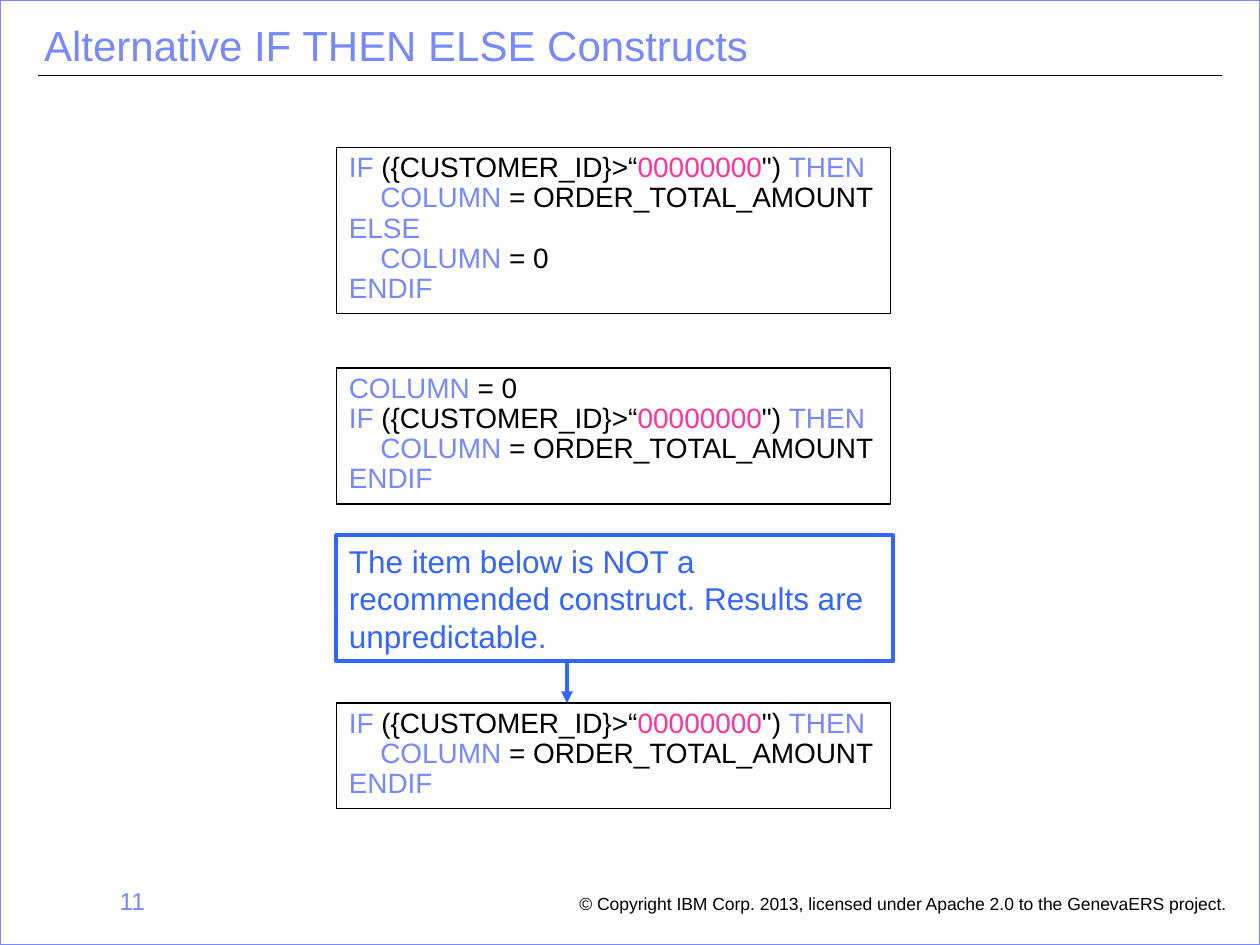
"""Build the slide on alternative IF THEN ELSE constructs."""
from lxml import etree
from pptx import Presentation
from pptx.dml.color import RGBColor
from pptx.enum.shapes import MSO_CONNECTOR, MSO_SHAPE
from pptx.enum.text import MSO_ANCHOR, MSO_AUTO_SIZE, PP_ALIGN
from pptx.oxml.ns import qn
from pptx.util import Inches, Pt

STRAIGHT, RECT = MSO_CONNECTOR.STRAIGHT, MSO_SHAPE.RECTANGLE
TOP, FIT, NO_FIT = MSO_ANCHOR.TOP, MSO_AUTO_SIZE.SHAPE_TO_FIT_TEXT, MSO_AUTO_SIZE.NONE
LEFT, RIGHT = PP_ALIGN.LEFT, PP_ALIGN.RIGHT
BLACK = RGBColor(0x00, 0x00, 0x00)
LAVENDER = RGBColor(0x78, 0x89, 0xFB)
PINK = RGBColor(0xFF, 0x33, 0x99)
BLUE = RGBColor(0x33, 0x66, 0xFF)

TITLE = "Alternative IF THEN ELSE Constructs"
COPYRIGHT = "© Copyright IBM Corp. 2013, licensed under Apache 2.0 to the GenevaERS project."
WARNING = "The item below is NOT a recommended construct. Results are unpredictable."
PAGE = "11"

IF = [("IF", LAVENDER), (" ({CUSTOMER_ID}>“", BLACK), ("00000000", PINK),
      ("\") ", BLACK), ("THEN", LAVENDER)]
ZERO = [("COLUMN ", LAVENDER), ("= 0", BLACK)]
TOTAL = [("\t", BLACK), ("COLUMN ", LAVENDER), ("= ORDER_TOTAL_AMOUNT", BLACK)]
ELSE = [("ELSE", LAVENDER)]
ENDIF = [("ENDIF", LAVENDER)]
CODE_BOXES = [
    (1.17, 1.32, [IF, TOTAL, ELSE, [("\t", BLACK)] + ZERO, ENDIF]),
    (2.92, 1.08, [ZERO, IF, TOTAL, ENDIF]),
    (5.58, 0.84, [IF, TOTAL, ENDIF]),
]
CODE_LEFT, CODE_WIDTH, TAB = 2.67, 4.4, 0.25


def place(sp, left, top, width, height):
    sp.left, sp.top, sp.width, sp.height = map(Inches, (left, top, width, height))


def outline(sp, color, width):
    sp.line.color.rgb = color
    sp.line.width = Pt(width)


def fill_text(sp, lines, size, spacing=1.0, align=LEFT, wrap=True, fit=NO_FIT, tab=None):
    tf = sp.text_frame
    tf.word_wrap, tf.auto_size, tf.vertical_anchor = wrap, fit, TOP
    for i, line in enumerate(lines):
        p = tf.add_paragraph() if i else tf.paragraphs[0]
        p.alignment, p.line_spacing = align, spacing
        if tab:
            stops = etree.SubElement(p._p.get_or_add_pPr(), qn("a:tabLst"))
            etree.SubElement(stops, qn("a:tab"), pos=str(Inches(tab)), algn="l")
        for text, color in line:
            r = p.add_run()
            r.text = text
            r.font.name, r.font.size, r.font.color.rgb = "Arial", Pt(size), color


def add_text(s, box, lines, size, **options):
    sp = s.shapes.add_textbox(*map(Inches, box))
    fill_text(sp, lines, size, **options)
    place(sp, *box)
    return sp


def add_line(s, x1, y1, x2, y2, color, width):
    line = s.shapes.add_connector(STRAIGHT, *map(Inches, (x1, y1, x2, y2)))
    outline(line, color, width)
    etree.SubElement(line._element.spPr, qn("a:effectLst"))
    return line


def main():
    prs = Presentation()
    prs.slide_width, prs.slide_height = Inches(10), Inches(7.5)
    s = prs.slides.add_slide(prs.slide_layouts[5])

    add_line(s, 0.3, 0.6, 9.7, 0.6, BLACK, 0.75)
    border = s.shapes.add_shape(RECT, 0, 0, prs.slide_width, prs.slide_height)
    border.shadow.inherit = False
    border.fill.background()
    outline(border, LAVENDER, 1)

    add_text(s, (4.5, 7.06, 5.38, 0.25), [[(COPYRIGHT, BLACK)]], 10,
             spacing=0.9, wrap=False, fit=FIT)
    add_text(s, (0.25, 6.98, 1, 0.52), [[(PAGE, LAVENDER)]], 14, align=RIGHT)

    title = s.shapes.title
    place(title, 0.25, 0.15, 8.55, 0.6)
    fill_text(title, [[(TITLE, LAVENDER)]], 24, spacing=0.9)

    for top, height, lines in CODE_BOXES:
        sp = add_text(s, (CODE_LEFT, top, CODE_WIDTH, height), lines, 16,
                      spacing=0.9, wrap=False, fit=FIT, tab=TAB)
        outline(sp, BLACK, 0.75)

    warning = add_text(s, (CODE_LEFT, 4.25, 4.42, 1), [[(WARNING, BLUE)]], 18)
    outline(warning, BLUE, 2.25)
    arrow = add_line(s, 4.5, 5.25, 4.5, 5.58, BLUE, 2.25)
    etree.SubElement(arrow.line._get_or_add_ln(), qn("a:tailEnd"), type="triangle")

    prs.save("out.pptx")


if __name__ == "__main__":
    main()
